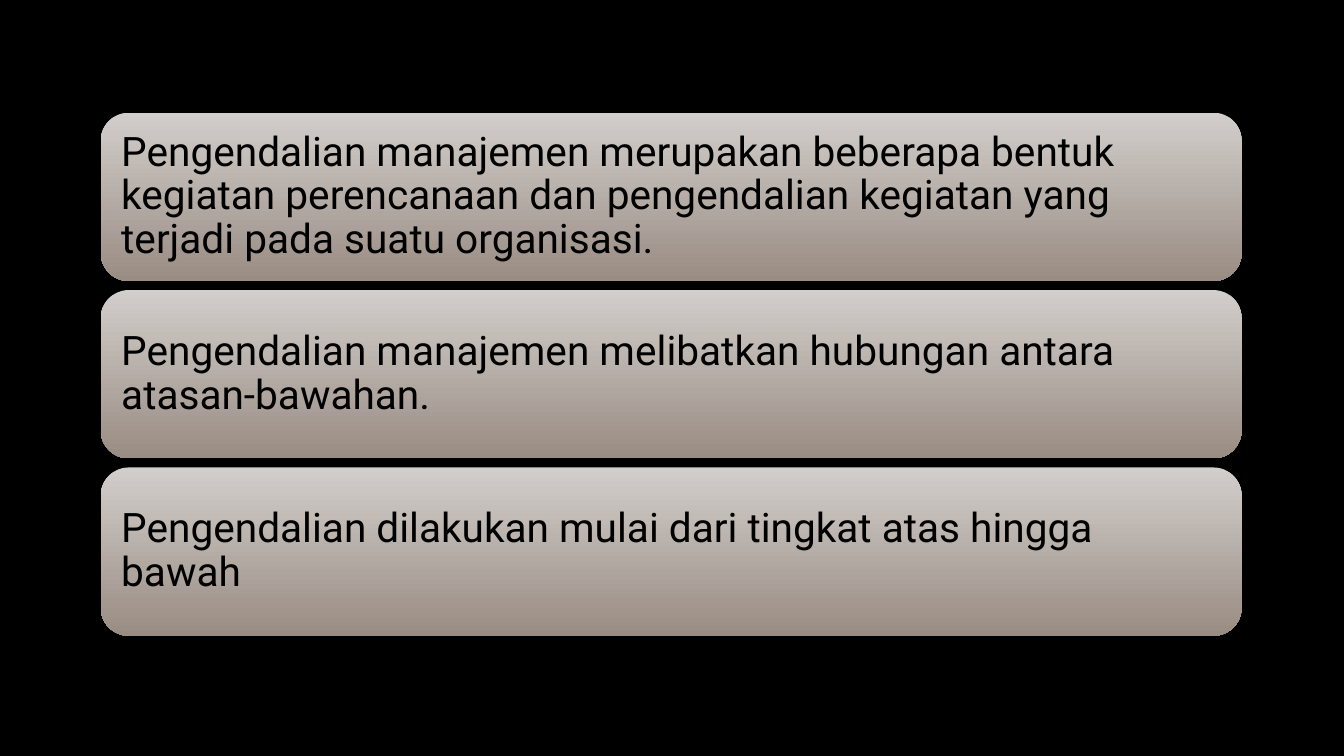
from pptx import Presentation
from pptx.dml.color import RGBColor
from pptx.enum.shapes import MSO_SHAPE
from pptx.enum.text import MSO_ANCHOR, PP_ALIGN
from pptx.util import Cm, Pt

# Content
STATEMENTS = [
    "Pengendalian manajemen merupakan beberapa bentuk kegiatan perencanaan "
    "dan pengendalian kegiatan yang terjadi pada suatu organisasi.",
    "Pengendalian manajemen melibatkan hubungan antara atasan-bawahan.",
    "Pengendalian dilakukan mulai dari tingkat atas hingga bawah",
]

# Theme
THEME = {
    "background": RGBColor.from_string("000000"),
    "panel": [RGBColor.from_string("D2CECB"), RGBColor.from_string("998C83")],
    "font": {"name": "Roboto", "size": Pt(29)},
    "text": RGBColor.from_string("000000"),
}
FRAME = {
    "word_wrap": True,
    "vertical_anchor": MSO_ANCHOR.MIDDLE,
    **{f"margin_{side}": Cm(0.31) for side in ("left", "top", "right", "bottom")},
}
PARAGRAPH = {"alignment": PP_ALIGN.LEFT, "line_spacing": 0.9}

# Layout: equal panels stacked with a constant gap
LEFT, TOP, WIDTH, HEIGHT, GAP = 2.54, 2.84, 28.75, 4.24, 0.23


def apply_format(target, values):
    for name, value in values.items():
        setattr(target, name, value)


def add_panel(page, index, statement):
    top = TOP + index * (HEIGHT + GAP)
    panel = page.shapes.add_shape(
        MSO_SHAPE.ROUNDED_RECTANGLE, Cm(LEFT), Cm(top), Cm(WIDTH), Cm(HEIGHT))
    panel.shadow.inherit = False
    panel.line.fill.background()

    # Gradient running downwards
    panel.fill.gradient()
    panel.fill.gradient_angle = 270
    for stop, color in zip(panel.fill.gradient_stops, THEME["panel"]):
        stop.color.rgb = color

    # Statement
    frame = panel.text_frame
    apply_format(frame, FRAME)
    para = frame.paragraphs[0]
    apply_format(para, PARAGRAPH)
    span = para.add_run()
    span.text = statement
    apply_format(span.font, THEME["font"])
    span.font.color.rgb = THEME["text"]


def main():
    deck = Presentation()
    deck.slide_width, deck.slide_height = Cm(33.87), Cm(19.05)
    page = deck.slides.add_slide(deck.slide_layouts[6])
    page.background.fill.solid()
    page.background.fill.fore_color.rgb = THEME["background"]
    for index, statement in enumerate(STATEMENTS):
        add_panel(page, index, statement)
    deck.save("out.pptx")


if __name__ == "__main__":
    main()
